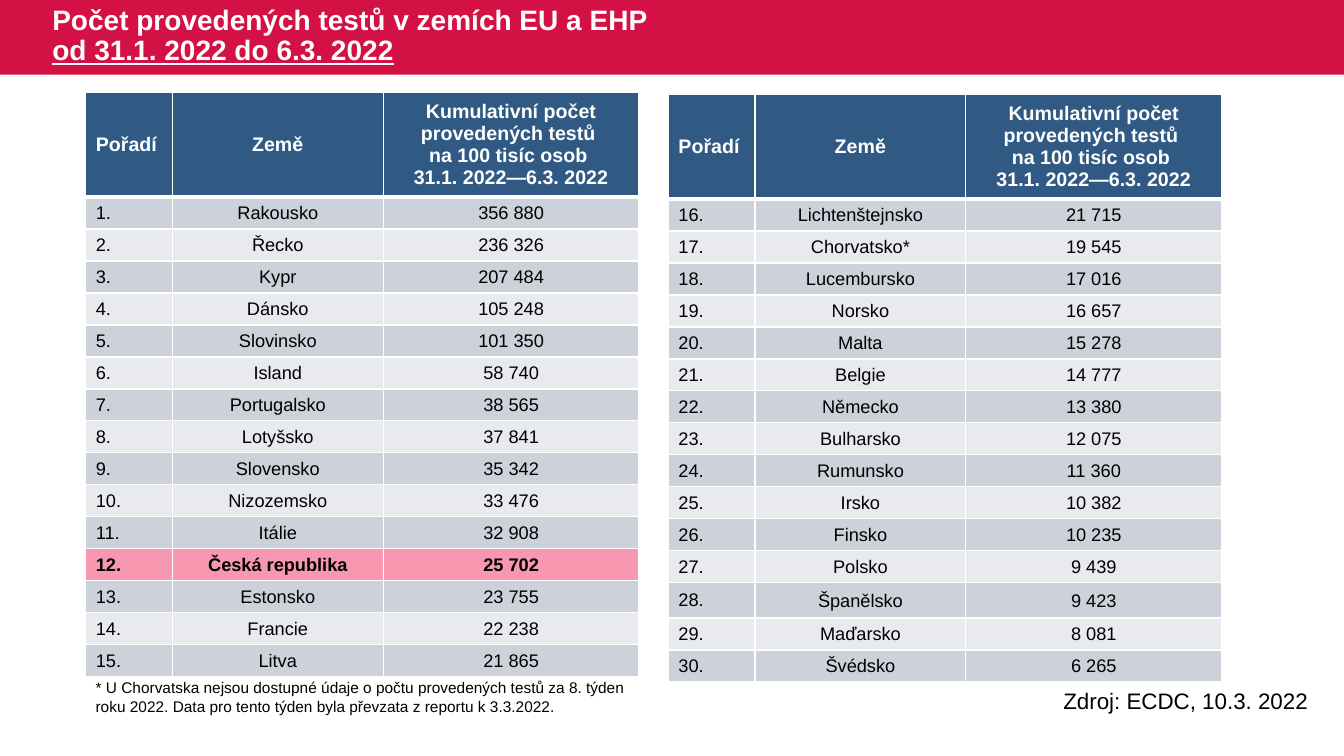
from pptx import Presentation
from pptx.dml.color import RGBColor
from pptx.enum.shapes import MSO_SHAPE
from pptx.enum.text import MSO_ANCHOR, MSO_AUTO_SIZE, PP_ALIGN
from pptx.oxml.ns import qn
from pptx.util import Inches, Pt
from lxml import etree

RECT = MSO_SHAPE.RECTANGLE
MIDDLE = MSO_ANCHOR.MIDDLE
GROW = MSO_AUTO_SIZE.SHAPE_TO_FIT_TEXT
LEFT, CENTER = PP_ALIGN.LEFT, PP_ALIGN.CENTER

RED = RGBColor(0xD3, 0x11, 0x45)
NAVY = RGBColor(0x30, 0x59, 0x83)
GREY = RGBColor(0xCD, 0xD1, 0xD9)
PALE = RGBColor(0xE8, 0xEA, 0xED)
PINK = RGBColor(0xF7, 0x97, 0xB0)
WHITE = RGBColor(0xFF, 0xFF, 0xFF)
BLACK = RGBColor(0, 0, 0)

# The slide is a grid of 100 columns by 100 rows.
WIDE, HIGH = Inches(13.33), Inches(7.5)
COLS = (6.45, 15.68, 19.05)
HEAD_ROW, ROW, TALL_ROW = 9.6, 3.33, 4.67
TABLE_X = 6.38

HEADS = (
    ["Pořadí"],
    ["Země"],
    ["Kumulativní počet provedených testů ", "na 100 tisíc osob ", "31.1. 2022—6.3. 2022"],
)
HOME, TALL = "Česká republika", "Španělsko"
TESTS = [
    ("Rakousko", "356 880"), ("Řecko", "236 326"), ("Kypr", "207 484"),
    ("Dánsko", "105 248"), ("Slovinsko", "101 350"), ("Island", "58 740"),
    ("Portugalsko", "38 565"), ("Lotyšsko", "37 841"), ("Slovensko", "35 342"),
    ("Nizozemsko", "33 476"), ("Itálie", "32 908"), (HOME, "25 702"),
    ("Estonsko", "23 755"), ("Francie", "22 238"), ("Litva", "21 865"),
    ("Lichtenštejnsko", "21 715"), ("Chorvatsko*", "19 545"), ("Lucembursko", "17 016"),
    ("Norsko", "16 657"), ("Malta", "15 278"), ("Belgie", "14 777"),
    ("Německo", "13 380"), ("Bulharsko", "12 075"), ("Rumunsko", "11 360"),
    ("Irsko", "10 382"), ("Finsko", "10 235"), ("Polsko", "9 439"),
    (TALL, "9 423"), ("Maďarsko", "8 081"), ("Švédsko", "6 265"),
]
HALF = len(TESTS) // 2


def across(cols):
    return int(WIDE * cols / 100)


def down(rows):
    return int(HIGH * rows / 100)


def place(x, y, w, h):
    return across(x), down(y), across(w), down(h)


def write(para, words, size=13, color=BLACK, bold=False, under=False, align=LEFT):
    """Add one run of formatted text to a paragraph."""
    para.alignment = align
    run = para.add_run()
    run.text = words
    font = run.font
    font.name, font.size = "Arial", Pt(size)
    font.bold, font.underline = bold, under
    font.color.rgb = color


def add_box(slide, *spot):
    frame = slide.shapes.add_textbox(*place(*spot)).text_frame
    frame.word_wrap = True
    return frame


def add_note(slide, words, size, *spot):
    frame = add_box(slide, *spot)
    frame.auto_size = GROW
    write(frame.paragraphs[0], words, size=size)


def add_title(slide):
    bar = slide.shapes.add_shape(RECT, *place(0, 0, 100, 9.87))
    bar.shadow.inherit = False
    bar.fill.solid()
    bar.fill.fore_color.rgb = RED
    bar.line.fill.background()
    frame = add_box(slide, 3.15, 0, 61.2, 9.73)
    frame.vertical_anchor = MIDDLE
    para = frame.paragraphs[0]
    para.line_spacing = 0.9
    look = dict(size=20, color=WHITE, bold=True)
    write(para, "Počet provedených testů v zemích EU a EHP ", **look)
    para.add_line_break()
    write(para, "od 31.1. 2022 do 6.3. 2022", under=True, **look)


def set_edges(cell, top=1, low=1):
    """Draw white borders; widths are in points."""
    props = cell._tc.get_or_add_tcPr()
    for side, width in zip("LRTB", (1, 1, top, low)):
        line = etree.SubElement(props, qn("a:ln" + side), w=str(Pt(width)))
        fill = etree.SubElement(line, qn("a:solidFill"))
        etree.SubElement(fill, qn("a:srgbClr"), val=str(WHITE))


def fill_cell(cell, lines, back, top=1, low=1, **look):
    set_edges(cell, top, low)
    cell.fill.solid()
    cell.fill.fore_color.rgb = back
    cell.vertical_anchor = MIDDLE
    frame = cell.text_frame
    for i, words in enumerate(lines):
        para = frame.add_paragraph() if i else frame.paragraphs[0]
        write(para, words, **look)


def trim(cell):
    cell.margin_left = cell.margin_right = cell.margin_top = Inches(0.01)
    cell.margin_bottom = 0


def add_ranks(slide, x, y, first, tests):
    """Add a table of countries ranked from first onwards."""
    high = HEAD_ROW + ROW * len(tests)
    spot = place(x, y, sum(COLS), high)
    table = slide.shapes.add_table(len(tests) + 1, len(COLS), *spot).table
    for col, width in zip(table.columns, COLS):
        col.width = across(width)
    table.rows[0].height = down(HEAD_ROW)
    for j, lines in enumerate(HEADS):
        fill_cell(table.cell(0, j), lines, NAVY, low=3, size=14, color=WHITE,
                  bold=True, align=CENTER if j else LEFT)
    for i, (land, count) in enumerate(tests, 1):
        table.rows[i].height = down(TALL_ROW if land == TALL else ROW)
        home = land == HOME
        back = PINK if home else (GREY if i % 2 else PALE)
        for j, words in enumerate((f"{first + i - 1}.", land, count)):
            cell = table.cell(i, j)
            fill_cell(cell, [words], back, top=3 if i == 1 else 1,
                      bold=home, align=CENTER if j else LEFT)
            if j:
                trim(cell)


def main():
    deck = Presentation()
    deck.slide_width, deck.slide_height = WIDE, HIGH
    slide = deck.slides.add_slide(deck.slide_layouts[6])
    add_title(slide)
    add_ranks(slide, TABLE_X, 12.27, 1, TESTS[:HALF])
    add_ranks(slide, 49.73, 12.53, HALF + 1, TESTS[HALF:])
    add_note(slide, "Zdroj: ECDC, 10.3. 2022", 16, 78.38, 90.27, 21.6, 4.93)
    add_note(slide, "* U Chorvatska nejsou dostupné údaje o počtu provedených testů "
             "za 8. týden roku 2022. Data pro tento týden byla převzata "
             "z reportu k 3.3.2022.", 11, TABLE_X, 89.07, 41.1, 6.27)
    deck.save("out.pptx")


if __name__ == "__main__":
    main()
